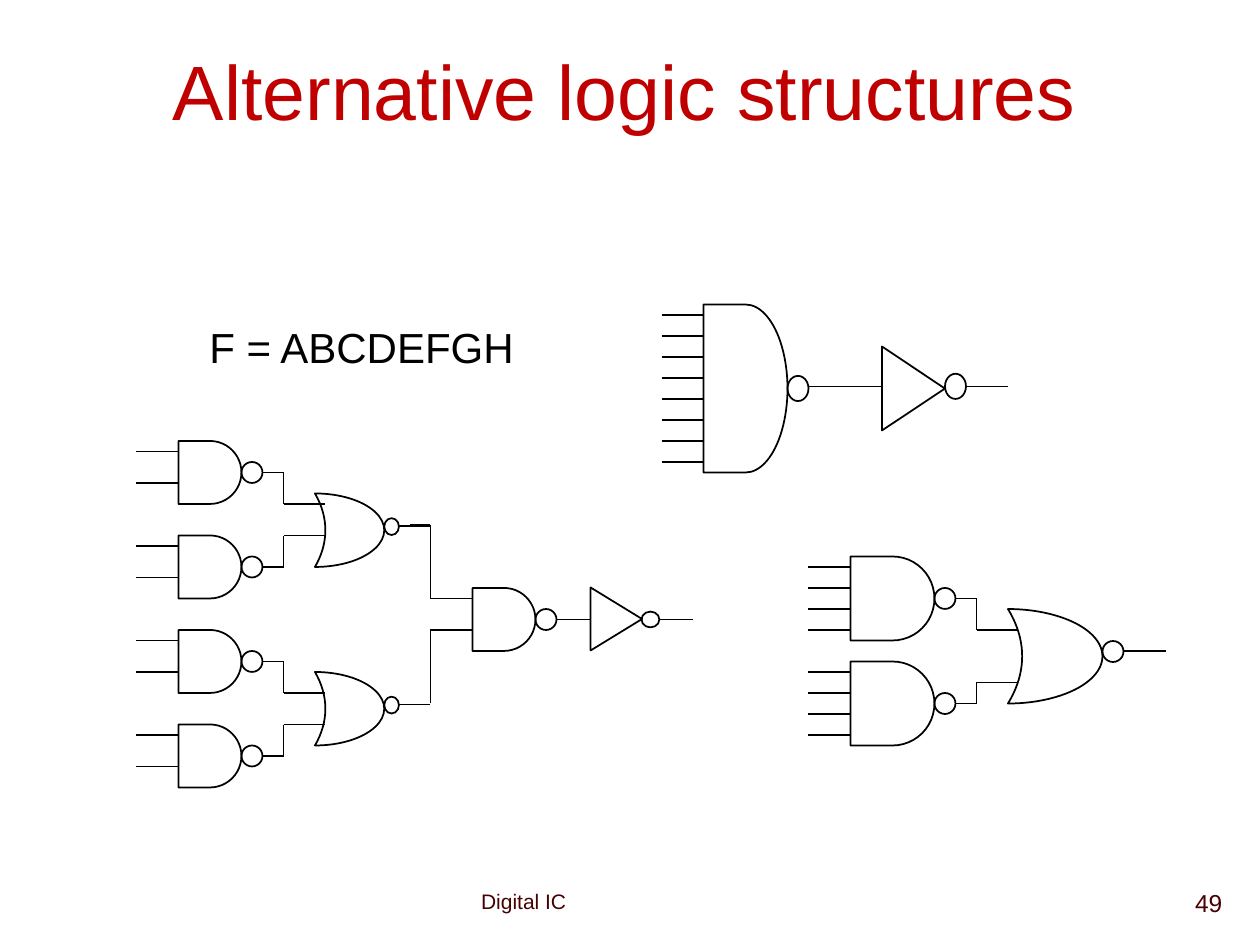
from itertools import pairwise

from pptx import Presentation
from pptx.dml.color import RGBColor
from pptx.enum.shapes import MSO_CONNECTOR as Connector, MSO_SHAPE as Shape
from pptx.enum.text import MSO_ANCHOR as Anchor, PP_ALIGN as Align
from pptx.oxml.ns import qn
from pptx.util import Inches, Pt
from lxml import etree

color = RGBColor.from_string
presentation = Presentation()
presentation.slide_width = Inches(10)
presentation.slide_height = Inches(7.5)
slide = presentation.slides.add_slide(presentation.slide_layouts[6])
shapes = slide.shapes
column = presentation.slide_width / 120
row = presentation.slide_height / 90


def add_symbol(kind, left, top, width, height):
    symbol = shapes.add_shape(kind, round(left * column), round(top * row),
                              round(width * column), round(height * row))
    symbol.shadow.inherit = False
    symbol.fill.background()
    symbol.line.color.rgb = color("000000")
    symbol.line.width = Pt(1)
    return symbol


def add_wire(*points):
    for (x1, y1), (x2, y2) in pairwise(points):
        wire = shapes.add_connector(Connector.STRAIGHT, round(x1 * column), round(y1 * row),
                                    round(x2 * column), round(y2 * row))
        wire.line.color.rgb = color("000000")
        wire.line.width = Pt(1)
        etree.SubElement(wire._element.spPr, qn("a:effectLst"))


texts = [
    ("Digital IC", (3.72, 7, 2.42, 0.3), 12, "480000", Align.LEFT, Anchor.TOP, True),
    ("49", (7.72, 7, 2.08, 0.5), 14, "480000", Align.RIGHT, Anchor.TOP, True),
    ("Alternative logic structures", (0.43, 0.34, 9.06, 0.75), 44, "C00000",
     Align.CENTER, Anchor.MIDDLE, True),
    ("F = ABCDEFGH", (1.55, 2.5, 2.64, 0.5), 24, "000000", Align.CENTER, Anchor.MIDDLE, False),
]
for text, box, size, text_color, alignment, anchor, wrap in texts:
    frame = shapes.add_textbox(*map(Inches, box)).text_frame
    for name, value in {"word_wrap": wrap, "vertical_anchor": anchor}.items():
        setattr(frame, name, value)
    paragraph = frame.paragraphs[0]
    paragraph.alignment = alignment
    run = paragraph.add_run()
    run.text = text
    for name, value in {"name": "Arial", "size": Pt(size)}.items():
        setattr(run.font, name, value)
    run.font.color.rgb = color(text_color)

small_tops = [42, 51, 60, 69]
quad_tops = [53, 63]
nand_gates = [(67, 29, 8, 16, 2.4, range(1, 16, 2))]
nand_gates += [(81, top, 8, 8, 2, range(1, 8, 2)) for top in quad_tops]
nand_gates += [(17, top, 6, 6, 2, (1, 4)) for top in small_tops]
nand_gates += [(45, 56, 6, 6, 2, (1, 4))]
for left, top, width, height, bubble_height, inputs in nand_gates:
    add_symbol(Shape.FLOWCHART_DELAY, left, top, width, height)
    add_symbol(Shape.OVAL, left + width, top + (height - bubble_height) / 2, 2, bubble_height)
    for offset in inputs:
        add_wire((left - 4, top + offset), (left, top + offset))

nor_gates = [
    (96, 58, 9, 9, 2, 2, 111),
    (30, 47, 6.6, 7, 1.4, 1.6, 41),
    (30, 64, 6.6, 7, 1.4, 1.6, 41),
]
for left, top, width, height, bubble_width, bubble_height, end in nor_gates:
    gate = add_symbol(Shape.MOON, left, top, width, height)
    gate.adjustments[0] = 0.85
    gate._element.spPr.get_or_add_xfrm().set("flipH", "1")
    middle = top + height / 2 - (0.5 if width == 9 else 0.4)
    add_symbol(Shape.OVAL, left + width, middle - bubble_height / 2 + 0.05, bubble_width, bubble_height)
    add_wire((left + width + bubble_width, middle), (end, middle))

inverters = [
    (83, 34, 8, 6, 90, 36.8, 2, 2.4, 77, 84, 96),
    (55.7, 56.5, 6, 4.9, 61.1, 59, 1.7, 1.5, 53, 56.3, 66),
]
for left, top, width, height, tip, middle, bubble_width, bubble_height, start, base, end in inverters:
    triangle = add_symbol(Shape.FLOWCHART_MERGE, left, top, width, height)
    triangle.rotation = 270
    add_symbol(Shape.OVAL, tip, middle - bubble_height / 2, bubble_width, bubble_height)
    add_wire((start, middle), (base, middle))
    add_wire((tip + bubble_width, middle), (end, middle))

for top, entry in zip(small_tops, [48, 51, 66, 69]):
    add_wire((25, top + 3), (27, top + 3), (27, entry), (31, entry))
for top, entry in zip(quad_tops, [60, 65]):
    add_wire((91, top + 4), (93, top + 4), (93, entry), (97, entry))
add_wire((39, 50), (41, 50), (41, 57))
add_wire((41, 60), (41, 67))

presentation.save("out.pptx")
